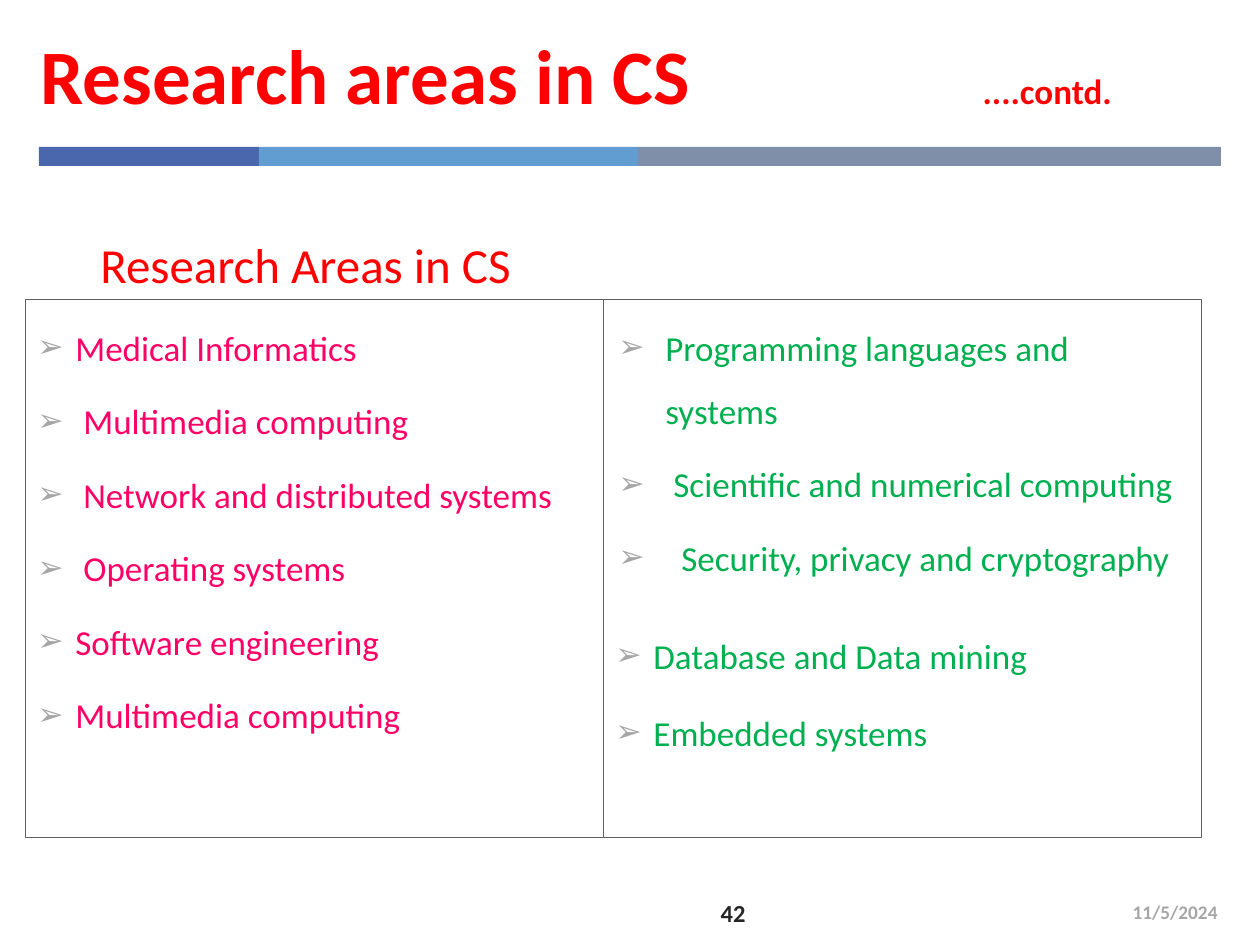
from lxml import etree
from pptx import Presentation
from pptx import util as u
from pptx.dml.color import RGBColor
from pptx.enum import shapes, text
from pptx.oxml.ns import qn

PX = 914400 / 126
FONT = "Calibri"
RED, PINK, GREEN, GREY = "FF0000", "FF0066", "00B050", "A6A6A6"
LEFT, JUSTIFY = text.PP_ALIGN.LEFT, text.PP_ALIGN.JUSTIFY

# Content
TITLE = [("Research areas in CS", 44), ("\t....contd.", 20)]
TITLE_TAB = 942
HEADING = "Research Areas in CS"
DATE, NUMBER = "11/5/2024", "42"
BARS = [(220, "4A66AC"), (379, "629DD1"), (583, "7F8FA9")]

# Columns: left, width, colour, items
# Item: text, bullet x, text x, line spacing, space before (pt), alignment
COLUMNS = [
    (25, 578, PINK, [
        ("Medical Informatics", 0, 38, 1.5, 0, JUSTIFY),
        ("Multimedia computing", 0, 46, 1.5, 6, JUSTIFY),
        ("Network and distributed systems", 0, 46, 1.5, 6, JUSTIFY),
        ("Operating systems", 0, 46, 1.5, 6, JUSTIFY),
        ("Software engineering", 0, 38, 1.5, 6, JUSTIFY),
        ("Multimedia computing", 0, 38, 1.5, 6, JUSTIFY),
    ]),
    (603, 598, GREEN, [
        ("Programming languages and systems", 3, 50, 1.5, 0, LEFT),
        ("Scientific and numerical computing", 3, 58, 1.5, 6, LEFT),
        ("Security, privacy and cryptography", 3, 66, 1.5, 6, LEFT),
        ("Database and Data mining", 0, 38, 1.5, 20, JUSTIFY),
        ("Embedded systems", 0, 38, 1.0, 20, LEFT),
    ]),
]
COLUMN_TOP, COLUMN_HEIGHT = 299, 538


def px(n):
    return u.Emu(round(n * PX))


def rgb(value):
    return RGBColor.from_string(value)


def box(left, top, width, height):
    return [px(n) for n in (left, top, width, height)]


def add_run(p, words, size, color, bold=False):
    r = p.add_run()
    r.text = words
    f = r.font
    f.name, f.size, f.bold = FONT, u.Pt(size), bold
    f.color.rgb = rgb(color)


def add_rect(s, frame, fill=None, line=None):
    sp = s.shapes.add_shape(shapes.MSO_SHAPE.RECTANGLE, *box(*frame))
    sp.shadow.inherit = False
    if fill:
        sp.fill.solid()
        sp.fill.fore_color.rgb = rgb(fill)
    else:
        sp.fill.background()
    if line:
        sp.line.color.rgb = rgb(line)
        sp.line.width = u.Pt(0.25)
    else:
        sp.line.fill.background()
    return sp


def add_label(s, frame, words, size, color, align, anchor, bold=False):
    tf = s.shapes.add_textbox(*box(*frame)).text_frame
    tf.word_wrap = True
    tf.vertical_anchor = anchor
    p = tf.paragraphs[0]
    p.alignment = align
    add_run(p, words, size, color, bold)


def add_bullet(p, bullet_x, text_x):
    pPr = p._p.get_or_add_pPr()
    pPr.set("marL", str(px(text_x)))
    pPr.set("indent", str(px(bullet_x - text_x)))
    clr = etree.SubElement(pPr, qn("a:buClr"))
    etree.SubElement(clr, qn("a:srgbClr"), val=GREY)
    etree.SubElement(pPr, qn("a:buSzPct"), val="90000")
    etree.SubElement(pPr, qn("a:buFont"), typeface=FONT)
    etree.SubElement(pPr, qn("a:buChar"), char="➢")


def add_column(s, left, width, color, items):
    sp = add_rect(s, (left, COLUMN_TOP, width, COLUMN_HEIGHT), line="606060")
    tf = sp.text_frame
    tf.word_wrap = True
    tf.vertical_anchor = text.MSO_ANCHOR.TOP
    for i, (words, bullet_x, text_x, spacing, before, align) in enumerate(items):
        p = tf.add_paragraph() if i else tf.paragraphs[0]
        add_bullet(p, bullet_x, text_x)
        p.alignment = align
        p.line_spacing = spacing
        p.space_before = u.Pt(before)
        add_run(p, words, 20, color)


def add_title(s):
    sp = s.shapes.title
    sp.left, sp.top, sp.width, sp.height = box(28, 11, 1179, 126)
    tf = sp.text_frame
    tf.word_wrap = True
    tf.auto_size = text.MSO_AUTO_SIZE.NONE
    tf.vertical_anchor = text.MSO_ANCHOR.MIDDLE
    p = tf.paragraphs[0]
    tabs = etree.SubElement(p._p.get_or_add_pPr(), qn("a:tabLst"))
    etree.SubElement(tabs, qn("a:tab"), pos=str(px(TITLE_TAB)), algn="l")
    p.alignment = LEFT
    for words, size in TITLE:
        add_run(p, words, size, RED, bold=True)


def main():
    prs = Presentation()
    prs.slide_width, prs.slide_height = px(1260), px(945)
    s = prs.slides.add_slide(prs.slide_layouts[5])
    add_title(s)

    # Three-colour rule under the title
    x = 39
    for width, color in BARS:
        add_rect(s, (x, 147, width, 19), fill=color)
        x += width

    # Heading and the two lists
    add_label(s, (27, 224, 557, 76), HEADING, 28, RED,
              text.PP_ALIGN.CENTER, text.MSO_ANCHOR.BOTTOM)
    for column in COLUMNS:
        add_column(s, *column)

    # Footer
    for frame, words, size, color in [((936, 887, 294, 50), DATE, 11, GREY),
                                      ((671, 888, 87, 50), NUMBER, 14, "262626")]:
        add_label(s, frame, words, size, color,
                  text.PP_ALIGN.RIGHT, text.MSO_ANCHOR.MIDDLE, bold=True)
    prs.save("out.pptx")


if __name__ == "__main__":
    main()
